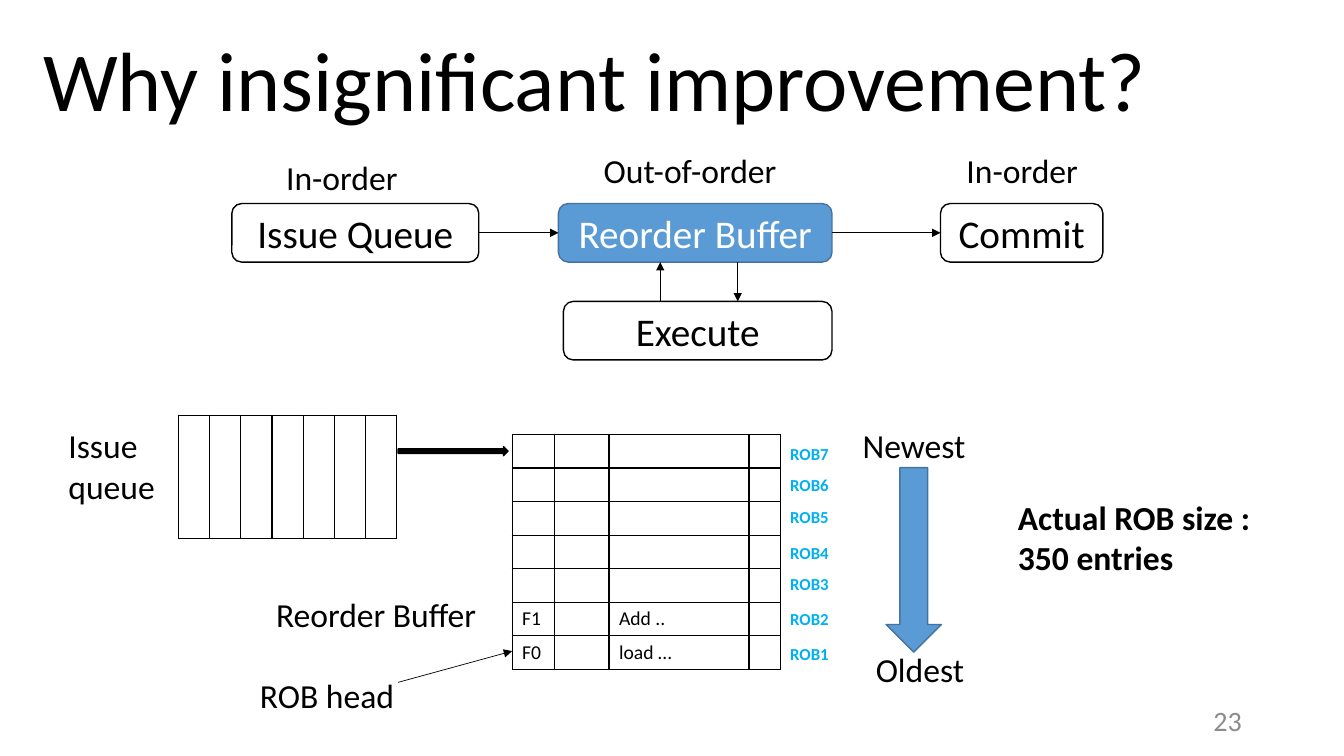
from lxml import etree
from pptx import Presentation
from pptx import util as u
from pptx.dml.color import RGBColor
from pptx.enum import shapes, text
from pptx.oxml import ns

Pt = u.Pt
BLACK, WHITE, BLUE, EDGE, CYAN, GREY = "000000", "FFFFFF", "5B9BD5", "43739E", "00B0F0", "8C8C8C"
SHAPE = shapes.MSO_SHAPE
ALIGN = text.PP_ALIGN
MIDDLE = text.MSO_ANCHOR.MIDDLE


def paint(colour_format, colour):
    """Give a fill or font colour its hex value."""
    colour_format.rgb = RGBColor.from_string(colour)


def add_run(p, words, size, colour=BLACK, bold=False):
    """Add one formatted run to a paragraph."""
    r = p.add_run()
    r.text = words
    r.font.name, r.font.size, r.font.bold = "Calibri", Pt(size), bold
    paint(r.font.color, colour)


def add_block(slide, kind, box, fill, line, words="", colour=BLACK):
    """Add a preset shape with an optional centred caption."""
    sp = slide.shapes.add_shape(kind, *map(Pt, box))
    sp.shadow.inherit = False
    sp.fill.solid()
    paint(sp.fill.fore_color, fill)
    paint(sp.line.color, line)
    sp.line.width = Pt(1)
    if words:
        tf = sp.text_frame
        tf.vertical_anchor = MIDDLE
        tf.paragraphs[0].alignment = ALIGN.CENTER
        add_run(tf.paragraphs[0], words, 28, colour)


def add_label(slide, box, words, size=24, colour=BLACK, bold=False, align=ALIGN.LEFT, anchor=None):
    """Add a wrapping text box and return its paragraph."""
    tf = slide.shapes.add_textbox(*map(Pt, box)).text_frame
    tf.word_wrap = True
    tf.vertical_anchor = anchor
    p = tf.paragraphs[0]
    p.alignment = align
    add_run(p, words, size, colour, bold)
    return p


def add_arrow(slide, *ends):
    """Add a thin black arrow from one point to another."""
    cxn = slide.shapes.add_connector(shapes.MSO_CONNECTOR.STRAIGHT, *map(Pt, ends))
    cxn.line.width = Pt(0.5)
    paint(cxn.line.color, BLACK)
    etree.SubElement(cxn.line._get_or_add_ln(), ns.qn("a:tailEnd"), type="triangle")
    etree.SubElement(cxn._element.spPr, ns.qn("a:effectLst"))


def add_borders(cell):
    """Draw black lines on all four sides of a cell."""
    tcPr = cell._tc.get_or_add_tcPr()
    for i, side in enumerate(("lnL", "lnR", "lnT", "lnB")):
        ln = etree.Element(ns.qn(f"a:{side}"), w=str(Pt(1)))
        fill = etree.SubElement(ln, ns.qn("a:solidFill"))
        etree.SubElement(fill, ns.qn("a:srgbClr"), val=BLACK)
        tcPr.insert(i, ln)


def add_grid(slide, left, top, widths, height, rows):
    """Add a plain ruled table with rows of equal height."""
    frame = slide.shapes.add_table(len(rows), len(widths), Pt(left), Pt(top),
                                   Pt(sum(widths)), Pt(height * len(rows)))
    table = frame.table
    table.first_row = table.horz_banding = False
    for column, width in zip(table.columns, widths):
        column.width = Pt(width)
    for i, row in enumerate(rows):
        table.rows[i].height = Pt(height)
        for j, words in enumerate(row):
            cell = table.cell(i, j)
            cell.margin_top = cell.margin_bottom = 0
            cell.vertical_anchor = MIDDLE
            cell.fill.solid()
            paint(cell.fill.fore_color, WHITE)
            add_borders(cell)
            add_run(cell.text_frame.paragraphs[0], words, 14)


def add_pipeline(slide):
    """Draw the pipeline stages, their order labels and arrows."""
    stages = [
        ("Issue Queue", 165.6, 145.4, 176.4, WHITE, BLACK, BLACK),
        ("Reorder Buffer", 398.9, 145.4, 195.4, BLUE, EDGE, WHITE),
        ("Commit", 671.8, 145.4, 116, WHITE, BLACK, BLACK),
        ("Execute", 402.5, 215.3, 191.8, WHITE, BLACK, BLACK),
    ]
    for words, left, top, width, fill, line, colour in stages:
        add_block(slide, SHAPE.ROUNDED_RECTANGLE, (left, top, width, 41.8), fill, line, words, colour)
    add_label(slide, (197.3, 108.7, 113, 36), "In-order")
    add_label(slide, (683.3, 103.7, 113, 36), "In-order")
    add_label(slide, (424.1, 103.7, 145.4, 36), "Out-of-order")
    add_arrow(slide, 342, 166.3, 398.9, 166.3)
    add_arrow(slide, 594.3, 166.3, 671.8, 166.3)
    add_arrow(slide, 527, 187.2, 527, 215.3)
    add_arrow(slide, 471.6, 215.3, 471.6, 187.2)


def add_buffers(slide):
    """Draw the issue queue and the reorder buffer with their labels."""
    add_grid(slide, 127.4, 296.6, [22.3] * 7, 87.8, [[""] * 7])
    entries = [[""] * 4] * 5 + [["F1", "", "Add ..", ""], ["F0", "", "load …", ""]]
    add_grid(slide, 365.8, 310.3, [30.2, 39, 100, 22.4], 24, entries)
    rob_tops = [456.5, 431.3, 406.1, 383.8, 358.6, 335.5, 313.2]
    for number, top in enumerate(rob_tops, 1):
        add_label(slide, (557.3, top, 46, 21.6), f"ROB{number}", 12, CYAN, True)
    add_block(slide, SHAPE.RIGHT_ARROW, (284.4, 319, 78.5, 6.5), BLACK, BLACK)
    add_block(slide, SHAPE.DOWN_ARROW, (632.9, 334.1, 39.6, 131.8), BLUE, EDGE)
    add_label(slide, (41.8, 300.2, 113, 65.5), "Issue queue")
    add_label(slide, (190.1, 420.5, 176.4, 36), "Reorder Buffer")
    add_label(slide, (609.1, 300.2, 95, 36), "Newest")
    add_label(slide, (618.5, 460.1, 83.5, 36), "Oldest")
    add_label(slide, (178.6, 478.8, 119.5, 36), "ROB head")
    add_arrow(slide, 284.4, 487.4, 365.8, 465.1)
    add_label(slide, (720, 351.4, 190.8, 65.5), "Actual ROB size : 350 entries", bold=True)


def main():
    """Build the slide and save it."""
    prs = Presentation()
    prs.slide_width, prs.slide_height = Pt(960), Pt(540)
    slide = prs.slides.add_slide(prs.slide_layouts[6])
    title = add_label(slide, (23.8, 3.6, 895.7, 113), "Why insignificant improvement?", 60, anchor=MIDDLE)
    title.line_spacing = 0.9
    add_pipeline(slide)
    add_buffers(slide)
    add_label(slide, (678.2, 500.4, 216, 28.8), "23", 20, GREY, align=ALIGN.RIGHT, anchor=MIDDLE)
    prs.save("out.pptx")


if __name__ == "__main__":
    main()
